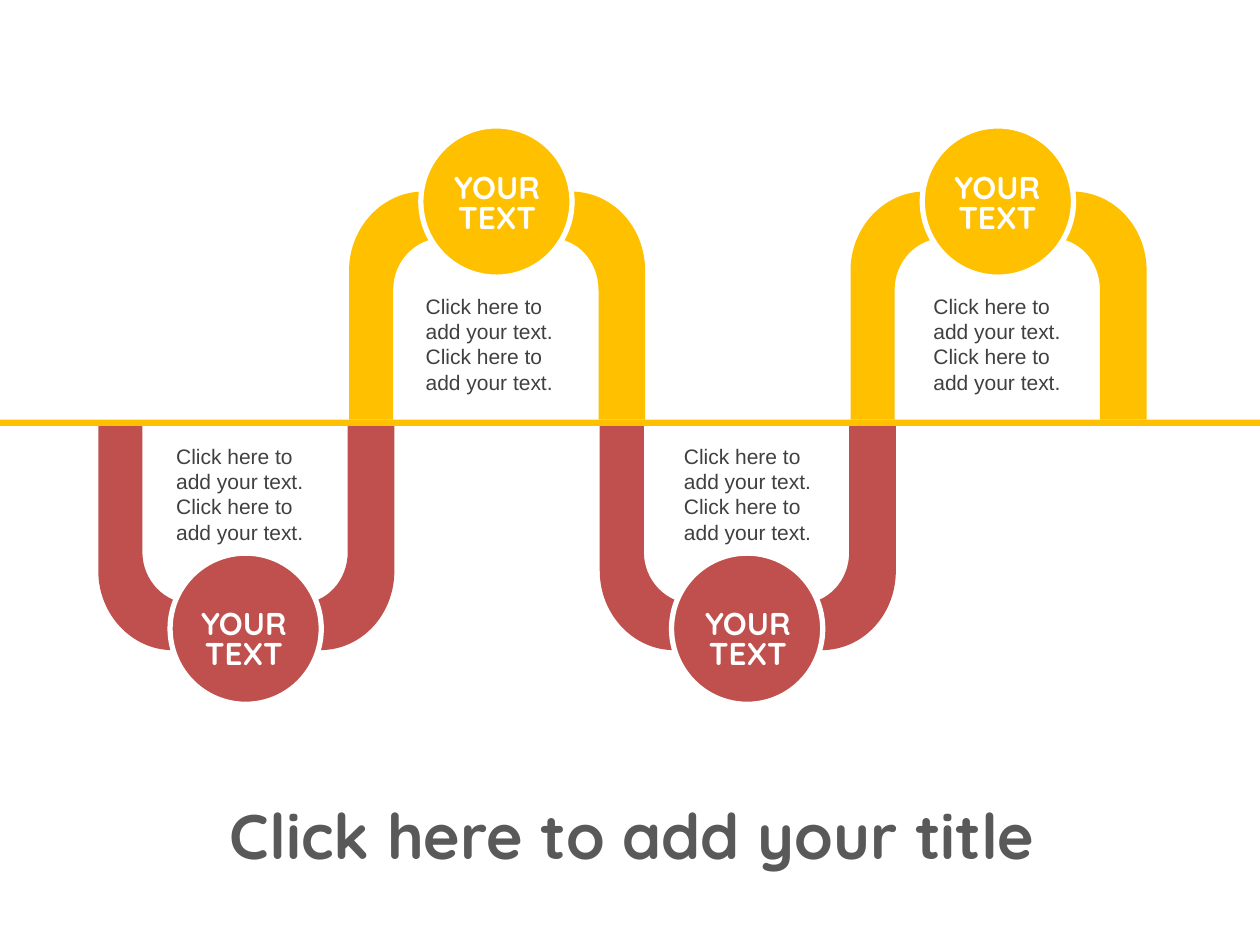
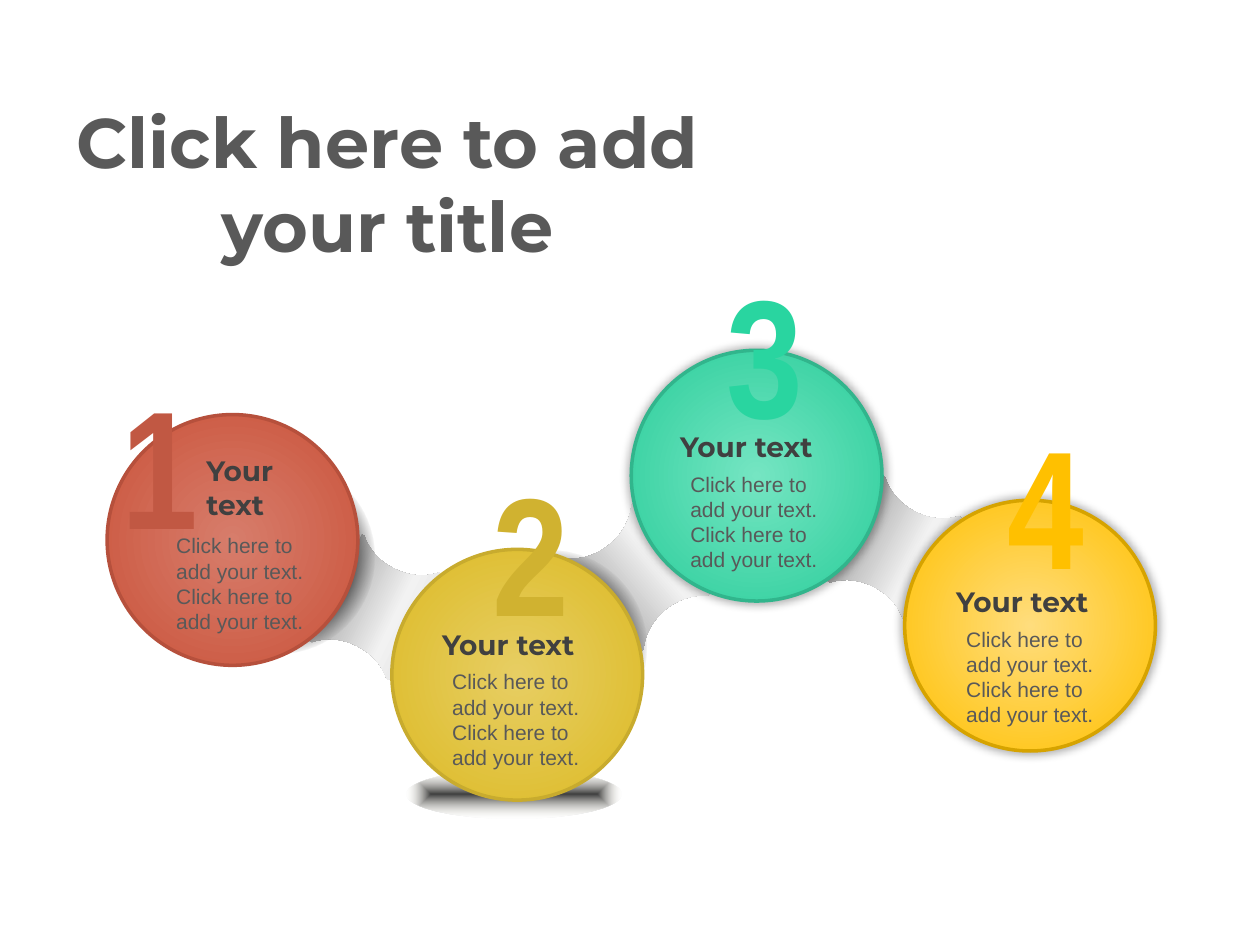
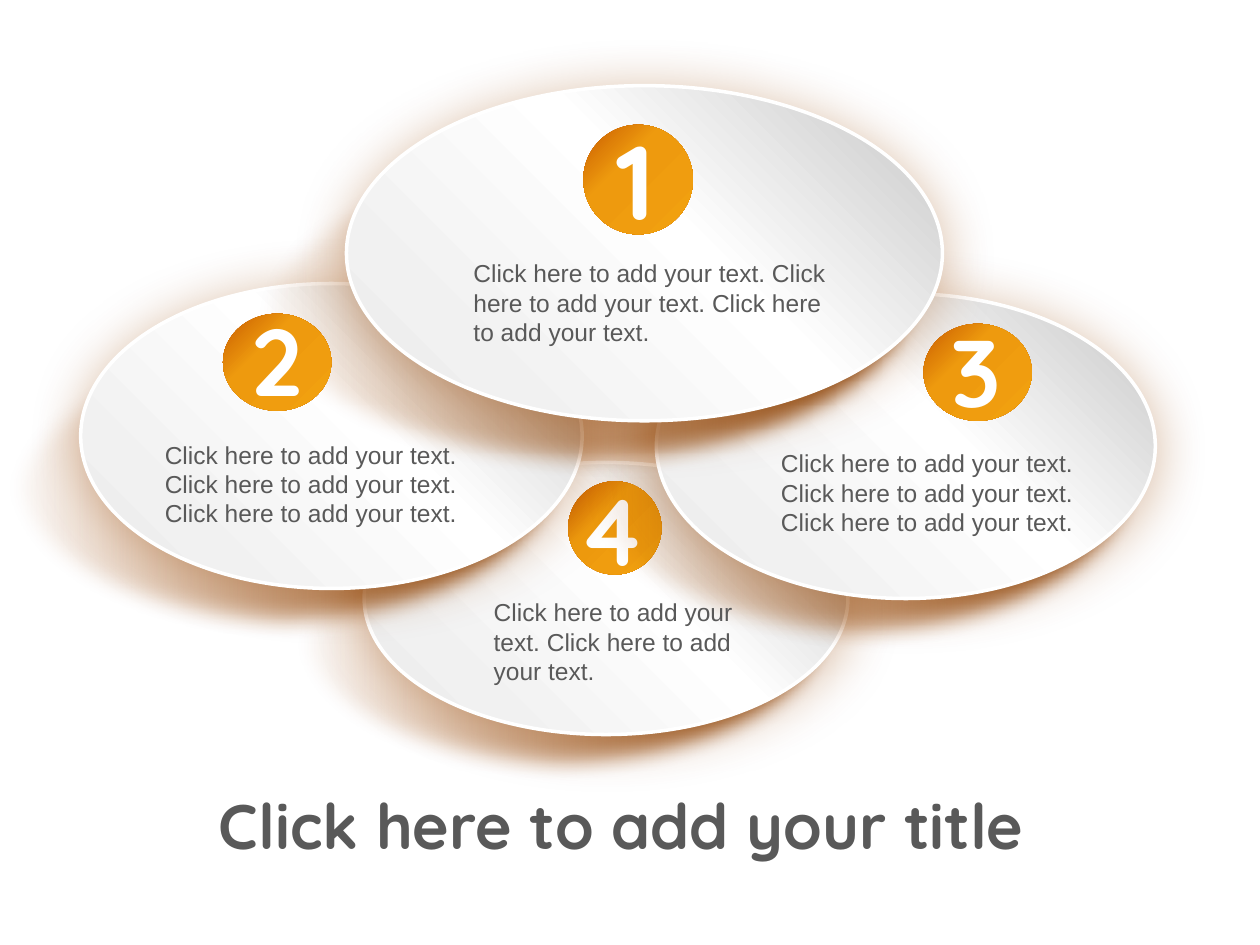
from dataclasses import dataclass

from lxml import etree
from pptx import Presentation
from pptx.dml.color import RGBColor
from pptx.enum.shapes import MSO_SHAPE
from pptx.enum.text import MSO_ANCHOR, MSO_AUTO_SIZE, PP_ALIGN
from pptx.oxml.ns import qn
from pptx.util import Pt

PX = 9144  # 100 px to the inch
OVAL, BAR = MSO_SHAPE.OVAL, MSO_SHAPE.RECTANGLE
LEFT, CENTER, RIGHT = PP_ALIGN.LEFT, PP_ALIGN.CENTER, PP_ALIGN.RIGHT
TOP, GROW = MSO_ANCHOR.TOP, MSO_AUTO_SIZE.SHAPE_TO_FIT_TEXT
TITLE_ONLY = 5

WHITE = RGBColor(0xFF, 0xFF, 0xFF)
BLACK = RGBColor(0x00, 0x00, 0x00)
DARK = RGBColor(0x40, 0x40, 0x40)
GREY = RGBColor(0x59, 0x59, 0x59)
RED = RGBColor(0xC0, 0x50, 0x4D)
AMBER = RGBColor(0xFF, 0xC0, 0x00)
BROWN = RGBColor(0x98, 0x48, 0x07)
BRICK_LINE = RGBColor(0xB6, 0x50, 0x3C)
BRICK_DIGIT = RGBColor(0xC1, 0x58, 0x43)
GOLD_LINE = RGBColor(0xC8, 0xAB, 0x2E)
GOLD_DIGIT = RGBColor(0xD0, 0xB2, 0x30)
MINT_LINE = RGBColor(0x31, 0xB5, 0x8C)
MINT_DIGIT = RGBColor(0x29, 0xD5, 0xA0)
AMBER_LINE = RGBColor(0xD6, 0xA3, 0x00)

TITLE = "Click here to add your title"
SENTENCE = "Click here to add your text."


@dataclass
class Style:
    size: int
    font: str
    color: RGBColor
    bold: bool = False
    align: int = LEFT
    spacing: float = 1.0


@dataclass
class Gradient:
    stops: list  # position, colour and optional opacity, in percent
    angle: int = 0
    form: str = ""  # "circle" or "shape" for a gradient from the centre


def radial(inner, outer):
    return Gradient([(0, RGBColor.from_string(inner)),
                     (100, RGBColor.from_string(outer))], form="circle")


def linear(angle, *stops):
    return Gradient([(stop[0], RGBColor.from_string(stop[1]), *stop[2:])
                     for stop in stops], angle)


BRICK, GOLD = radial("D77D6B", "CA523A"), radial("E7CE63", "DCBA24")
MINT, SUN = radial("75E5C2", "29CD9A"), radial("FFDD7D", "FFC000")
BALL_SHADE = Gradient([(52, DARK), (72, RGBColor(0x62, 0x62, 0x62), 0)],
                      form="circle")
FLOOR_SHADE = Gradient([(0, DARK), (100, RGBColor(0xEE, 0xEC, 0xE1), 0)],
                       form="shape")
STEEL = linear(0, (0, "808080"), (29, "B7B7B7"), (62, "F2F2F2"), (100, "D9D9D9"))
PAPER = linear(135, (6, "CCCCCC"), (43, "FFFFFF"), (80, "F1F1F1"), (100, "E4E4E4"))
ORANGE = linear(45, (0, "C85B00"), (36, "EE9A0E"), (100, "F1A00F"))
RUST = linear(180, (0, "863C00"), (100, "9E4800", 0))

# Outlines: a pair is a corner, six numbers are a Bezier curve
HOOP = [(0, 0), (35, 0), (35, 103), (35, 126, 53, 144, 74, 144), (160, 144),
        (181, 144, 198, 126, 198, 103), (198, 0), (235, 0), (235, 118),
        (235, 153, 209, 181, 176, 181), (59, 181), (27, 181, 0, 153, 0, 118)]
LINK = [(0, 0), (2, 0), (11, 9, 23, 13, 35, 13), (47, 13, 59, 9, 68, 0), (70, 0),
        (70, 94), (68, 94), (59, 85, 47, 81, 35, 81), (23, 81, 11, 85, 2, 94),
        (0, 94)]


# ---- Fills and effects
def add_color(parent, color, opacity=100):
    node = etree.SubElement(parent, qn("a:srgbClr"), val=str(color))
    if opacity < 100:
        etree.SubElement(node, qn("a:alpha"), val=str(opacity * 1000))


def fill_gradient(shape, gradient):
    shape.fill.background()
    properties = shape._element.spPr
    node = etree.Element(qn("a:gradFill"), rotWithShape="1")
    stops = etree.SubElement(node, qn("a:gsLst"))
    for position, *color in gradient.stops:
        stop = etree.SubElement(stops, qn("a:gs"), pos=str(position * 1000))
        add_color(stop, *color)
    if gradient.form:
        center = etree.SubElement(node, qn("a:path"))
        center.set("path", gradient.form)
        etree.SubElement(center, qn("a:fillToRect"),
                         {side: "50000" for side in "ltrb"})
    else:
        etree.SubElement(node, qn("a:lin"), ang=str(gradient.angle * 60000),
                         scaled="0")
    properties.replace(properties.find(qn("a:noFill")), node)


def paint(shape, fill, line=None, width=2):
    shape.shadow.inherit = False
    if isinstance(fill, Gradient):
        fill_gradient(shape, fill)
    else:
        shape.fill.solid()
        shape.fill.fore_color.rgb = fill
    if line is None:
        shape.line.fill.background()
    else:
        shape.line.color.rgb = line
        shape.line.width = Pt(width)


def add_effect(shape, name, **values):
    effects = shape._element.spPr.find(qn("a:effectLst"))
    return etree.SubElement(effects, qn(name),
                            {key: str(value) for key, value in values.items()})


def add_shadow(shape, color, opacity, blur, distance=0, angle=0, scale=100):
    shadow = add_effect(shape, "a:outerShdw", blurRad=Pt(blur), dist=Pt(distance),
                        dir=angle * 60000, sx=scale * 1000, sy=scale * 1000,
                        algn="ctr", rotWithShape=0)
    add_color(shadow, color, opacity)


# ---- Shapes
def add_shape(page, kind, box, fill, line=None, width=2):
    shape = page.shapes.add_shape(kind, *(value * PX for value in box))
    paint(shape, fill, line, width)
    return shape


def add_outline(page, left, top, steps, fill, direction=1):
    """Draw the outline from its first corner; direction -1 turns it upward."""
    places = [((left + x) * PX, (top + direction * y) * PX)
              for step in steps for x, y in zip(step[::2], step[1::2])]
    builder = page.shapes.build_freeform(*places[0])
    builder.add_line_segments(places[1:], close=True)
    shape = builder.convert_to_shape()
    # Join the three segments of each curve into one Bezier segment
    segments = shape._element.spPr.iter(qn("a:lnTo"))
    segments = iter(list(segments))
    for step in steps[1:]:
        segment = next(segments)
        if len(step) == 6:
            bezier = etree.Element(qn("a:cubicBezTo"))
            segment.addprevious(bezier)
            for part in (segment, next(segments), next(segments)):
                bezier.append(part[0])
                part.getparent().remove(part)
    paint(shape, fill)
    return shape


# ---- Text
def write(shape, text, style):
    frame = shape.text_frame
    frame.word_wrap = True
    frame.auto_size = GROW
    frame.vertical_anchor = TOP
    frame.text = text
    para = frame.paragraphs[0]
    para.alignment = style.align
    para.line_spacing = style.spacing
    font = para.runs[0].font
    font.size = Pt(style.size)
    font.name = style.font
    font.bold = style.bold
    font.color.rgb = style.color
    return para.runs[0]


def add_text(page, box, text, style):
    shape = page.shapes.add_textbox(*(value * PX for value in box))
    return write(shape, text, style)


def outline_text(span, color, width):
    line = etree.Element(qn("a:ln"), w=str(Pt(width)))
    add_color(etree.SubElement(line, qn("a:solidFill")), color)
    span.font._element.insert(0, line)


def add_page(deck, title_box, font, size=36, align=CENTER):
    page = deck.slides.add_slide(deck.slide_layouts[TITLE_ONLY])
    title = page.shapes.title
    title.left, title.top, title.width, title.height = (
        value * PX for value in title_box)
    write(title, TITLE, Style(size, font, GREY, True, align))
    return page


# ---- Slides
def build_wave(deck):
    page = add_page(deck, (154, 627, 677, 71), "Quicksand", align=RIGHT)
    label = Style(18, "Quicksand", WHITE, True, CENTER, 0.8)
    body = Style(12, "Arial", DARK)
    # hoop left, circle left, label left, body left, upward
    waves = [(78, 135, 144, 130, False), (277, 334, 345, 328, True),
             (476, 533, 544, 533, False), (675, 732, 742, 731, True)]
    for hoop, circle, _, _, upward in waves:
        color = AMBER if upward else RED
        add_outline(page, hoop, 333 if upward else 335, HOOP, color,
                    -1 if upward else 1)
        add_shape(page, OVAL, (circle, 100 if upward else 439, 120, 120),
                  color, WHITE, 3)
    add_shape(page, BAR, (0, 333, 1000, 5), AMBER)
    for _, _, label_left, body_left, upward in waves:
        add_text(page, (label_left, 134 if upward else 480, 99, 59),
                 "YOUR TEXT", label)
        add_text(page, (body_left, 228 if upward else 347, 129, 91),
                 f"{SENTENCE} {SENTENCE}", body)


def build_chain(deck):
    page = add_page(deck, (20, 73, 575, 145), "Montserrat", 40)
    heading = Style(16, "Montserrat", DARK, True)
    body = Style(12, "Arial", GREY)
    # Links and shades behind the balls
    for left, top, turn in [(675, 389, 27.7), (471, 411, 320.1), (263, 435, 26.2)]:
        add_outline(page, left, top, LINK, STEEL).rotation = turn
    add_shape(page, OVAL, (360, 437, 153, 153), BALL_SHADE)
    add_shape(page, OVAL, (323, 611, 170, 39), FLOOR_SHADE)
    add_shape(page, OVAL, (144, 366, 153, 153), BALL_SHADE)
    # ball, fill, line, digit place, digit colour, glow, heading box, body box
    balls = [
        ((85, 329), BRICK, BRICK_LINE, (87, 282, 56, 128), BRICK_DIGIT, False,
         (154, 355, 85, 64), (130, 418, 142, 91)),
        ((311, 436), GOLD, GOLD_LINE, (381, 351, 56, 128), GOLD_DIGIT, False,
         (341, 493, 135, 37), (349, 526, 135, 91)),
        ((501, 278), MINT, MINT_LINE, (567, 194, 56, 142), MINT_DIGIT, True,
         (530, 336, 135, 37), (538, 369, 135, 91)),
        ((718, 397), SUN, AMBER_LINE, (790, 314, 56, 172), AMBER, True,
         (749, 459, 135, 37), (757, 492, 135, 91)),
    ]
    for number, ball in enumerate(balls, 1):
        place, fill, line, digit_box, color, glows, heading_box, body_box = ball
        circle = add_shape(page, OVAL, (*place, 199, 199), fill, line)
        if glows:
            add_shadow(circle, BLACK, 30, 5, scale=102)
        digit = add_text(page, digit_box, str(number),
                         Style(96, "Arial Narrow", color, True, CENTER))
        outline_text(digit, WHITE, 4.5)
        add_text(page, body_box, f"{SENTENCE} {SENTENCE}", body)
        add_text(page, heading_box, "Your text", heading)


def add_plate(page, shade_box, plate_box):
    shade = add_shape(page, OVAL, shade_box, RUST)
    add_effect(shade, "a:softEdge", rad=Pt(12))
    plate = add_shape(page, OVAL, plate_box, PAPER, WHITE)
    add_shadow(plate, BROWN, 37, 31, 3, 90)


def add_badge(page, number, badge_box, digit_box, size=54):
    add_shape(page, OVAL, badge_box, ORANGE)
    add_text(page, digit_box, str(number),
             Style(size, "Quicksand", WHITE, True, CENTER, 0.8))


def build_plates(deck):
    page = add_page(deck, (146, 619, 694, 71), "Quicksand")
    # The lowest plate carries its badge below the other plates
    add_plate(page, (224, 404, 440, 216), (289, 367, 384, 216))
    add_badge(page, 4, (451, 382, 74, 74), (441, 387, 90, 83))
    add_plate(page, (-4, 266, 456, 242), (64, 225, 398, 242))
    add_plate(page, (454, 274, 454, 242), (521, 233, 396, 242))
    add_plate(page, (194, 113, 542, 266), (275, 68, 473, 266))
    add_badge(page, 1, (463, 99, 87, 87), (461, 106, 87, 91), 60)
    add_badge(page, 2, (177, 249, 86, 77), (173, 252, 94, 83))
    add_badge(page, 3, (733, 257, 86, 77), (728, 261, 94, 83))
    body = Style(14, "Arial", GREY)
    for left, top, width, count in [(366, 200, 307, 3), (121, 344, 276, 3),
                                    (610, 351, 276, 3), (382, 469, 220, 2)]:
        add_text(page, (left, top, width, 81), " ".join([SENTENCE] * count), body)


def main():
    deck = Presentation()
    deck.slide_width, deck.slide_height = 1000 * PX, 750 * PX
    build_wave(deck)
    build_chain(deck)
    build_plates(deck)
    deck.save("out.pptx")


if __name__ == "__main__":
    main()
